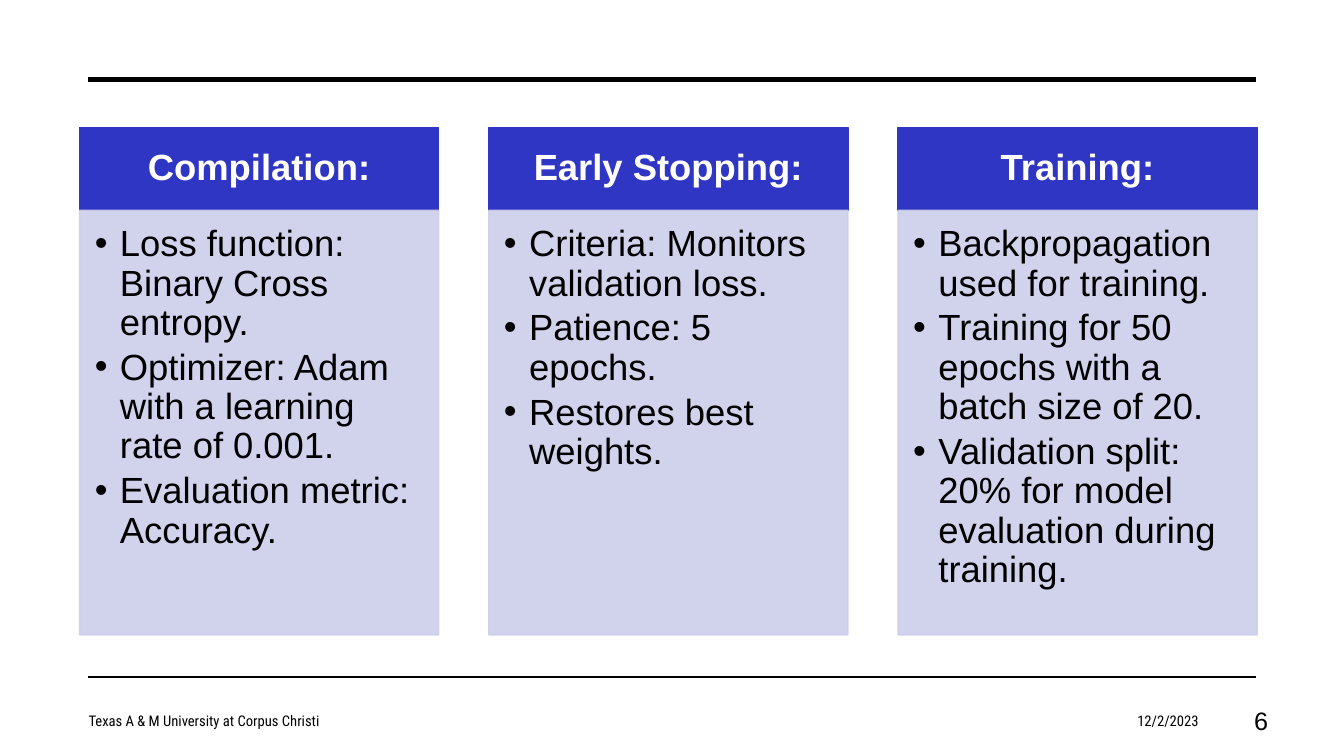
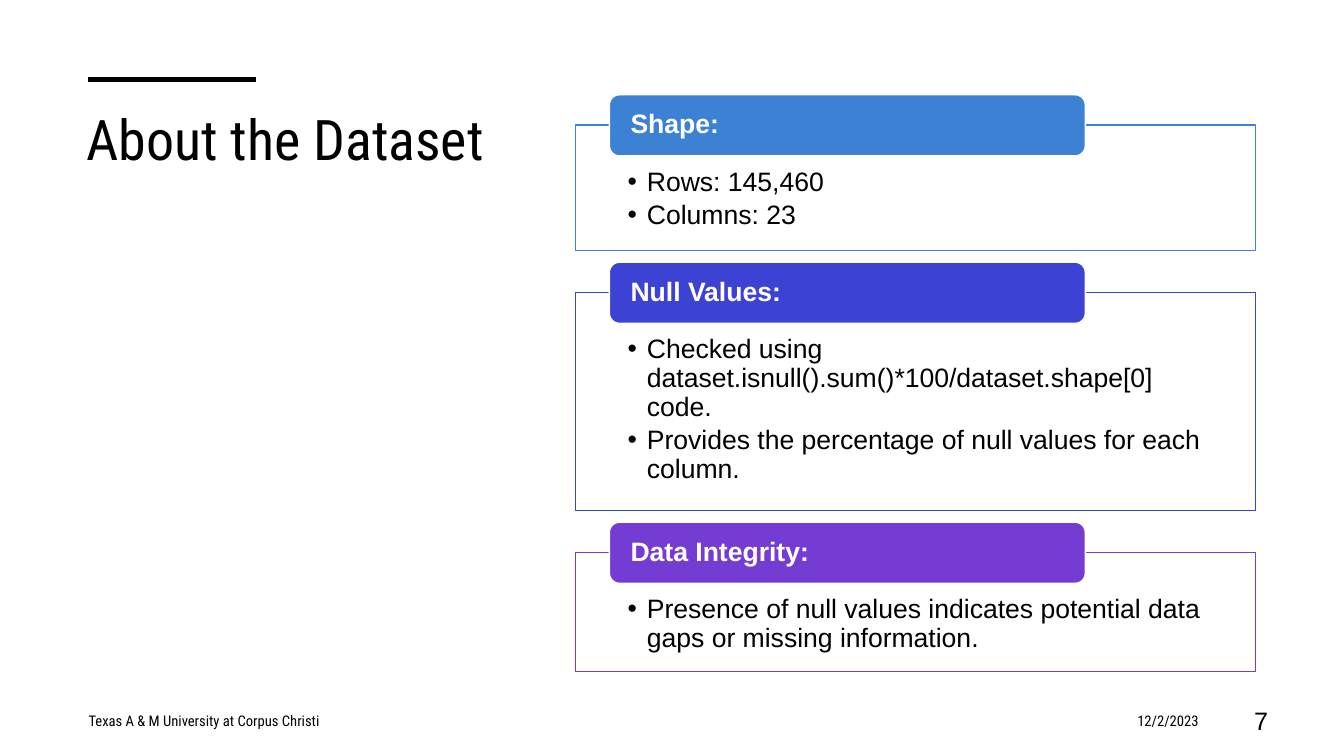
from lxml.etree import SubElement
from pptx import Presentation
from pptx.dml.color import RGBColor
from pptx.enum.shapes import MSO_CONNECTOR, MSO_SHAPE
from pptx.enum.text import MSO_ANCHOR, MSO_AUTO_SIZE, PP_ALIGN
from pptx.oxml.ns import qn
from pptx.util import Pt

HEX = {"ink": "000000", "paper": "FFFFFF", "head": "3036C4", "body": "CDCEEA",
       "blue": "3C81D4", "indigo": "3C42D4", "violet": "753CD4"}
SANS, NARROW = "Arial", "Roboto Condensed"
LEFT, MID, RIGHT = PP_ALIGN.LEFT, PP_ALIGN.CENTER, PP_ALIGN.RIGHT
SCHOOL, DATE = "Texas A & M University at Corpus Christi", "12/2/2023"

STEPS = [
    ("Compilation:", ["Loss function: Binary Cross entropy.",
                      "Optimizer: Adam with a learning rate of 0.001.",
                      "Evaluation metric: Accuracy."]),
    ("Early Stopping:", ["Criteria: Monitors validation loss.",
                         "Patience: 5 epochs.",
                         "Restores best weights."]),
    ("Training:", ["Backpropagation used for training.",
                   "Training for 50 epochs with a batch size of 20.",
                   "Validation split: 20% for model evaluation during training."]),
]
TITLE = "About the Dataset"
FACTS = [
    ("Shape:", "blue", 89.6, ["Rows: 145,460", "Columns: 23"]),
    ("Null Values:", "indigo", 155.7,
     ["Checked using dataset.isnull().sum()*100/dataset.shape[0] code.",
      "Provides the percentage of null values for each column."]),
    ("Data Integrity:", "violet", 85,
     ["Presence of null values indicates potential data gaps or missing information."]),
]


def color(name):
    return RGBColor.from_string(HEX[name])


def fade(shape, pct):
    for clr in shape._element.spPr.iter(qn("a:srgbClr")):
        SubElement(clr, qn("a:alpha"), val=str(pct * 1000))


def block(slide, kind, box, fill, edge):
    shape = slide.shapes.add_shape(kind, *map(Pt, box))
    shape.shadow.inherit = False
    shape.fill.solid()
    shape.fill.fore_color.rgb = color(fill)
    shape.line.color.rgb = color(edge)
    shape.line.width = Pt(1)
    return shape


def write(shape, lines, size, font=SANS, ink="ink", bold=False, align=LEFT,
          anchor=MSO_ANCHOR.TOP, inset=(7.2, 3.6, 7.2, 3.6), lead=1, after=0, hang=0):
    frame = shape.text_frame
    frame.word_wrap = True
    frame.auto_size = MSO_AUTO_SIZE.NONE
    frame.vertical_anchor = anchor
    (frame.margin_left, frame.margin_top,
     frame.margin_right, frame.margin_bottom) = map(Pt, inset)
    for i, text in enumerate(lines):
        para = frame.add_paragraph() if i else frame.paragraphs[0]
        para.alignment = align
        para.line_spacing = lead
        para.space_before = Pt(0)
        para.space_after = Pt(after)
        if hang:
            props = para._p.get_or_add_pPr()
            props.set("marL", str(Pt(hang)))
            props.set("indent", str(-Pt(hang)))
            SubElement(props, qn("a:buFont"), typeface=SANS)
            SubElement(props, qn("a:buChar"), char="•")
        run = para.add_run()
        run.text = text
        run.font.size = Pt(size)
        run.font.name = font
        run.font.bold = bold
        run.font.color.rgb = color(ink)


def rule(slide, y, end, width):
    line = slide.shapes.add_connector(MSO_CONNECTOR.STRAIGHT, Pt(63), Pt(y), Pt(end), Pt(y))
    line.line.color.rgb = color("ink")
    line.line.width = Pt(width)
    SubElement(line._element.spPr, qn("a:effectLst"))


def footer(slide, num):
    for text, x, wide, size, font, align in [
            (SCHOOL, 56.2, 357, 10.5, NARROW, LEFT),
            (DATE, 658.8, 204.5, 10.5, NARROW, RIGHT),
            (str(num), 859.7, 53.3, 18, SANS, RIGHT)]:
        box = slide.shapes.add_textbox(Pt(x), Pt(500.4), Pt(wide), Pt(28.8))
        write(box, [text], size, font, align=align, anchor=MSO_ANCHOR.MIDDLE)


def steps(deck):
    slide = deck.slides.add_slide(deck.slide_layouts[6])
    rule(slide, 56.7, 897, 3.5)
    rule(slide, 483.6, 897, 1)
    wide, gap, top, high = 256.5, 35.8, 91.2, 59
    for i, (name, items) in enumerate(STEPS):
        x = 56.9 + i * (wide + gap)
        head = block(slide, MSO_SHAPE.RECTANGLE, (x, top, wide, high), "head", "head")
        write(head, [name], 26, ink="paper", bold=True, align=MID,
              anchor=MSO_ANCHOR.MIDDLE, inset=(14.4, 8.6, 14.4, 8.6), lead=0.9)
        body = block(slide, MSO_SHAPE.RECTANGLE, (x, top + high, wide, 303.3), "body", "body")
        fade(body, 90)
        write(body, items, 26, inset=(10.8, 10.8, 14.4, 16.6), lead=0.9, after=4, hang=18)
    footer(slide, 6)


def facts(deck):
    slide = deck.slides.add_slide(deck.slide_layouts[5])
    title = slide.shapes.title
    title.left, title.top, title.width, title.height = map(Pt, (54.7, 71.3, 308.2, 313.2))
    write(title, [TITLE], 40, NARROW)
    rule(slide, 56.7, 183, 3.5)
    top, gap = 89.3, 30
    for name, tint, high, items in FACTS:
        panel = block(slide, MSO_SHAPE.RECTANGLE, (411, top, 486, high), "paper", tint)
        write(panel, items, 19, inset=(37.4, 31, 37.4, 10.8), lead=0.9, after=3, hang=13.7)
        tab = block(slide, MSO_SHAPE.ROUNDED_RECTANGLE, (435.3, top - 21.6, 340, 43.7),
                    tint, "paper")
        write(tab, [name], 19, ink="paper", bold=True, anchor=MSO_ANCHOR.MIDDLE,
              inset=(13, 0, 13, 0), lead=0.9)
        top += high + gap
    footer(slide, 7)


def main():
    deck = Presentation()
    deck.slide_width, deck.slide_height = Pt(960), Pt(540)
    steps(deck)
    facts(deck)
    deck.save("out.pptx")


if __name__ == "__main__":
    main()
